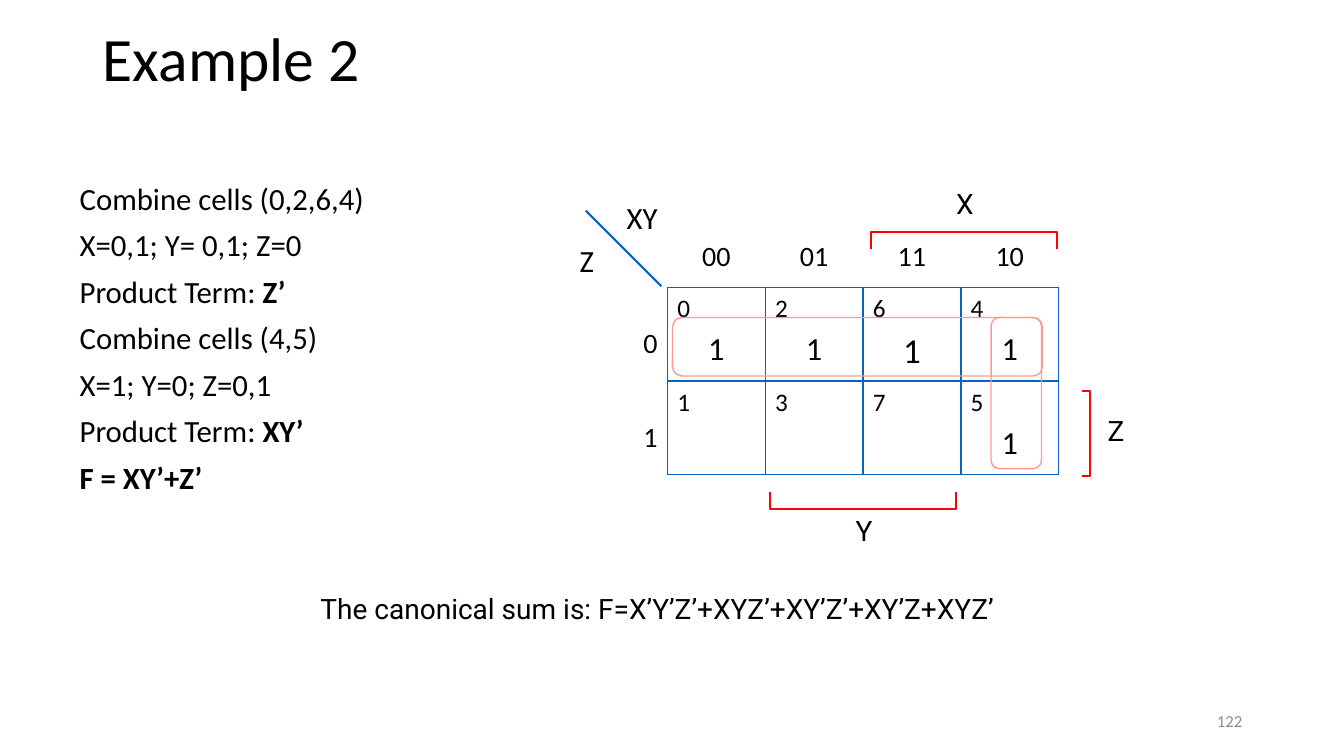
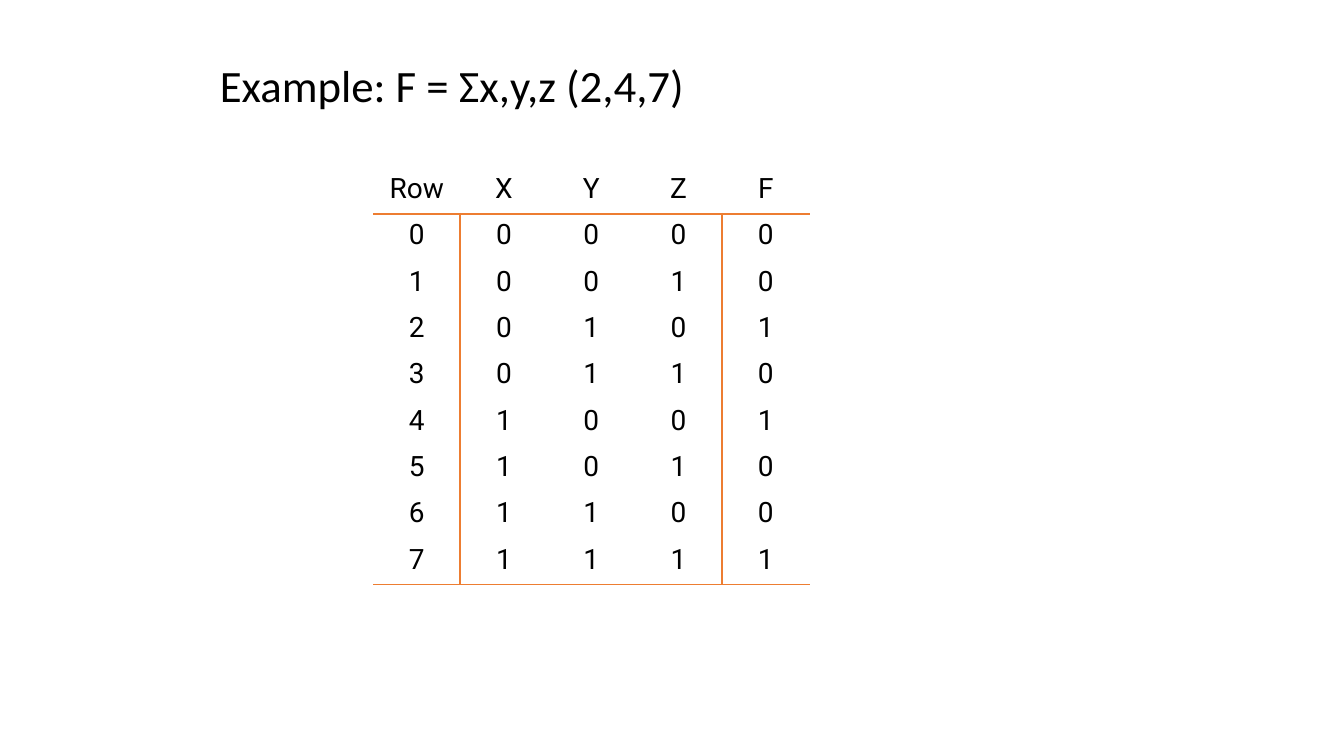
"""Build two slides on Karnaugh maps and truth tables."""
from dataclasses import dataclass
from itertools import product
from typing import Any

from lxml import etree
from pptx import Presentation
from pptx import util as u
from pptx.dml.color import RGBColor
from pptx.enum import shapes, text
from pptx.oxml import ns

BLACK, GREY, BLUE = "000000", "8C8C8C", "0563C1"
RED, PINK, ORANGE = "FF0000", "FF9999", "ED7D31"
SANS, ROBOTO = "Calibri", "Roboto"
LEFT, CENTER, RIGHT = text.PP_ALIGN.LEFT, text.PP_ALIGN.CENTER, text.PP_ALIGN.RIGHT
TITLE_ONLY, TITLE_AND_BODY = 5, 1
MAP_LEFT, MAP_TOP, COLUMN, ROW = 6.62, 2.85, 0.97, 0.93
MAP_COLUMNS, MAP_ROWS = 4, 2


@dataclass(frozen=True)
class Area:
    """A rectangle in inches."""
    left: float
    top: float
    width: float
    height: float

    def emu(self) -> tuple[int, ...]:
        """Return the rectangle in drawing units."""
        return tuple(u.Inches(v) for v in (self.left, self.top, self.width, self.height))


@dataclass(frozen=True)
class Minterm:
    """A cell of the map with its number and output mark."""
    column: int
    row: int
    number: int
    mark_size: int = 0


@dataclass(frozen=True)
class Bracket:
    """A variable's bracket with the centre of its label."""
    variable: str
    label_x: float
    label_top: float
    points: tuple[tuple[float, float], ...]


MINTERMS = (
    Minterm(0, 0, 0, 23), Minterm(1, 0, 2, 23), Minterm(2, 0, 6, 25), Minterm(3, 0, 4, 23),
    Minterm(0, 1, 1), Minterm(1, 1, 3), Minterm(2, 1, 7), Minterm(3, 1, 5, 23),
)
BRACKETS = (
    Bracket("X", 9.57, 1.8, ((8.64, 2.47), (8.64, 2.3), (10.48, 2.3), (10.48, 2.47))),
    Bracket("Y", 8.57, 5.05, ((9.48, 4.88), (9.48, 5.05), (7.64, 5.05), (7.64, 4.88))),
    Bracket("Z", 11.07, 4.05, ((10.73, 3.88), (10.81, 3.88), (10.81, 4.72), (10.73, 4.72))),
)
LOOPS = (Area(6.67, 3.15, 3.67, 0.58), Area(9.83, 3.15, 0.5, 1.5))
STEPS = (
    ("Combine cells (0,2,6,4)", ""),
    ("X=0,1; Y= 0,1; Z=0", ""),
    ("Product Term: ", "Z’"),
    ("Combine cells (4,5)", ""),
    ("X=1; Y=0; Z=0,1", ""),
    ("Product Term: ", "XY’"),
    ("", "F = XY’+Z’"),
)


def color(value: str) -> RGBColor:
    """Return the colour of a hex string."""
    return RGBColor.from_string(value)


def write(paragraph: Any, words: str, *, size: float, font: str = SANS, ink: str = BLACK,
          bold: bool = False, align: Any = LEFT, before: float = 0,
          spacing: Any = None) -> None:
    """Add a formatted run to a paragraph."""
    paragraph.alignment = align
    paragraph.space_before = u.Pt(before)
    if spacing is not None:
        paragraph.line_spacing = spacing
    run = paragraph.add_run()
    run.text = words
    run.font.size, run.font.name, run.font.bold = u.Pt(size), font, bold
    run.font.color.rgb = color(ink)


def add_label(slide: Any, area: Area, words: str, *, anchor: Any = text.MSO_ANCHOR.TOP,
              **style: Any) -> Any:
    """Add a text box and return its frame."""
    frame = slide.shapes.add_textbox(*area.emu()).text_frame
    frame.word_wrap = True
    frame.vertical_anchor = anchor
    write(frame.paragraphs[0], words, **style)
    return frame


def place(placeholder: Any, area: Area, anchor: Any) -> Any:
    """Move a placeholder and return its frame."""
    placeholder.left, placeholder.top, placeholder.width, placeholder.height = area.emu()
    frame = placeholder.text_frame
    frame.auto_size = text.MSO_AUTO_SIZE.NONE
    frame.vertical_anchor = anchor
    return frame


def add_titled_slide(deck: Any, layout: int, title: str, area: Area, size: float) -> Any:
    """Add a slide with its title in place."""
    slide = deck.slides.add_slide(deck.slide_layouts[layout])
    frame = place(slide.shapes.title, area, text.MSO_ANCHOR.MIDDLE)
    write(frame.paragraphs[0], title, size=size, spacing=0.9)
    return slide


def map_area(column: int, row: int) -> Area:
    """Return the rectangle of a map cell, with headings at index -1."""
    return Area(MAP_LEFT + column * COLUMN, MAP_TOP + row * ROW, COLUMN, ROW)


def outline(shape: Any, ink: str, width: float) -> None:
    """Give a shape a plain outline without fill or shadow."""
    shape.shadow.inherit = False
    shape.fill.background()
    shape.line.color.rgb = color(ink)
    shape.line.width = u.Pt(width)


def add_line(slide: Any, x1: float, y1: float, x2: float, y2: float,
             width: float = 1) -> None:
    """Draw a straight map line."""
    ends = (u.Inches(v) for v in (x1, y1, x2, y2))
    line = slide.shapes.add_connector(shapes.MSO_CONNECTOR.STRAIGHT, *ends)
    line.line.color.rgb = color(BLUE)
    line.line.width = u.Pt(width)
    etree.SubElement(line._element.spPr, ns.qn("a:effectLst"))


def add_bracket(slide: Any, bracket: Bracket) -> None:
    """Draw a bracket and its variable."""
    start, *rest = [(u.Inches(x), u.Inches(y)) for x, y in bracket.points]
    builder = slide.shapes.build_freeform(*start)
    builder.add_line_segments(rest, close=False)
    outline(builder.convert_to_shape(), RED, 1.5)
    add_label(slide, Area(bracket.label_x - 0.3, bracket.label_top, 0.6, 0.43),
              bracket.variable, size=20, font=ROBOTO, align=CENTER)


def add_map(slide: Any) -> None:
    """Draw the Karnaugh map with headings, loops and brackets."""
    for minterm in MINTERMS:
        frame = add_label(slide, map_area(minterm.column, minterm.row),
                          str(minterm.number), size=18)
        if minterm.mark_size:
            write(frame.add_paragraph(), "1", size=minterm.mark_size, align=CENTER, before=4.5)
    for column, code in enumerate(("00", "01", "11", "10")):
        heading = Area(MAP_LEFT + column * COLUMN, 2.32, COLUMN, 0.53)
        add_label(slide, heading, code, size=20, align=CENTER)
    for row in range(MAP_ROWS):
        add_label(slide, map_area(-1, row), str(row), size=20, align=RIGHT, spacing=2.0)
    corner = add_label(slide, map_area(-1, -1), "XY", size=22, align=RIGHT)
    write(corner.add_paragraph(), "Z", size=22, before=4.5)

    right, bottom = MAP_LEFT + MAP_COLUMNS * COLUMN, MAP_TOP + MAP_ROWS * ROW
    for column in range(MAP_COLUMNS + 1):
        x = MAP_LEFT + column * COLUMN
        add_line(slide, x, MAP_TOP, x, bottom)
    for row in range(MAP_ROWS + 1):
        y = MAP_TOP + row * ROW
        add_line(slide, MAP_LEFT, y, right, y)
    add_line(slide, 5.81, 2.09, 6.56, 2.84, 1.5)
    for bracket in BRACKETS:
        add_bracket(slide, bracket)
    for loop in LOOPS:
        ring = slide.shapes.add_shape(shapes.MSO_SHAPE.ROUNDED_RECTANGLE, *loop.emu())
        outline(ring, PINK, 1)


def add_steps(slide: Any) -> None:
    """Fill the body with the steps of the simplification."""
    frame = place(slide.placeholders[1], Area(0.44, 1.77, 4.64, 3.8), text.MSO_ANCHOR.TOP)
    for index, (plain, strong) in enumerate(STEPS):
        paragraph = frame.add_paragraph() if index else frame.paragraphs[0]
        properties = paragraph._p.get_or_add_pPr()
        properties.set("marL", str(u.Inches(0.25)))
        properties.set("indent", "0")
        etree.SubElement(properties, ns.qn("a:buNone"))
        for words, bold in ((plain, False), (strong, True)):
            if words:
                write(paragraph, words, size=22, bold=bold, spacing=0.9,
                      before=9.5 if index else 0)


def set_borders(cell: Any, ruled_sides: set[str]) -> None:
    """Rule the given sides of a cell and clear the others."""
    properties = cell._tc.get_or_add_tcPr()
    for side in "LRTB":
        border = etree.SubElement(properties, ns.qn(f"a:ln{side}"), w=str(u.Pt(1.5)))
        if side in ruled_sides:
            fill = etree.SubElement(border, ns.qn("a:solidFill"))
            etree.SubElement(fill, ns.qn("a:srgbClr"), val=ORANGE)
        else:
            etree.SubElement(border, ns.qn("a:noFill"))
    cell.fill.background()


def add_truth_table(slide: Any, area: Area, minterms: set[int]) -> None:
    """Add the truth table of a three-variable function."""
    rows = [("Row", "X", "Y", "Z", "F")]
    rows += [(n, *bits, int(n in minterms)) for n, bits in enumerate(product((0, 1), repeat=3))]
    last = len(rows) - 1
    table = slide.shapes.add_table(len(rows), len(rows[0]), *area.emu()).table
    table.first_row = table.horz_banding = False
    for r, values in enumerate(rows):
        for c, value in enumerate(values):
            rules = {"L": r > 0 and c in (1, 4), "R": r > 0 and c in (0, 3),
                     "T": r == 1, "B": r in (0, last)}
            cell = table.cell(r, c)
            set_borders(cell, {side for side, ruled in rules.items() if ruled})
            write(cell.text_frame.paragraphs[0], str(value), size=20, font=ROBOTO, align=CENTER)


def main() -> None:
    """Build and save the presentation."""
    deck = Presentation()
    deck.slide_width, deck.slide_height = u.Inches(13.33), u.Inches(7.5)

    example = add_titled_slide(deck, TITLE_AND_BODY, "Example 2",
                               Area(0.92, 0.22, 11.5, 0.78), 44)
    add_steps(example)
    add_map(example)
    add_label(example, Area(3.08, 5.82, 7.03, 0.44),
              "The canonical sum is: F=X’Y’Z’+XYZ’+XY’Z’+XY’Z+XYZ’",
              size=20, font=ROBOTO, spacing=u.Pt(24))
    add_label(example, Area(9.42, 6.95, 3, 0.4), "122", size=12, ink=GREY, align=RIGHT,
              anchor=text.MSO_ANCHOR.MIDDLE)

    truth = add_titled_slide(deck, TITLE_ONLY, "Example: F = Σx,y,z (2,4,7)",
                             Area(2.08, 0.25, 9, 1.25), 32)
    add_truth_table(truth, Area(3.7, 1.66, 4.33, 4.14), {2, 4, 7})
    deck.save("out.pptx")


if __name__ == "__main__":
    main()
